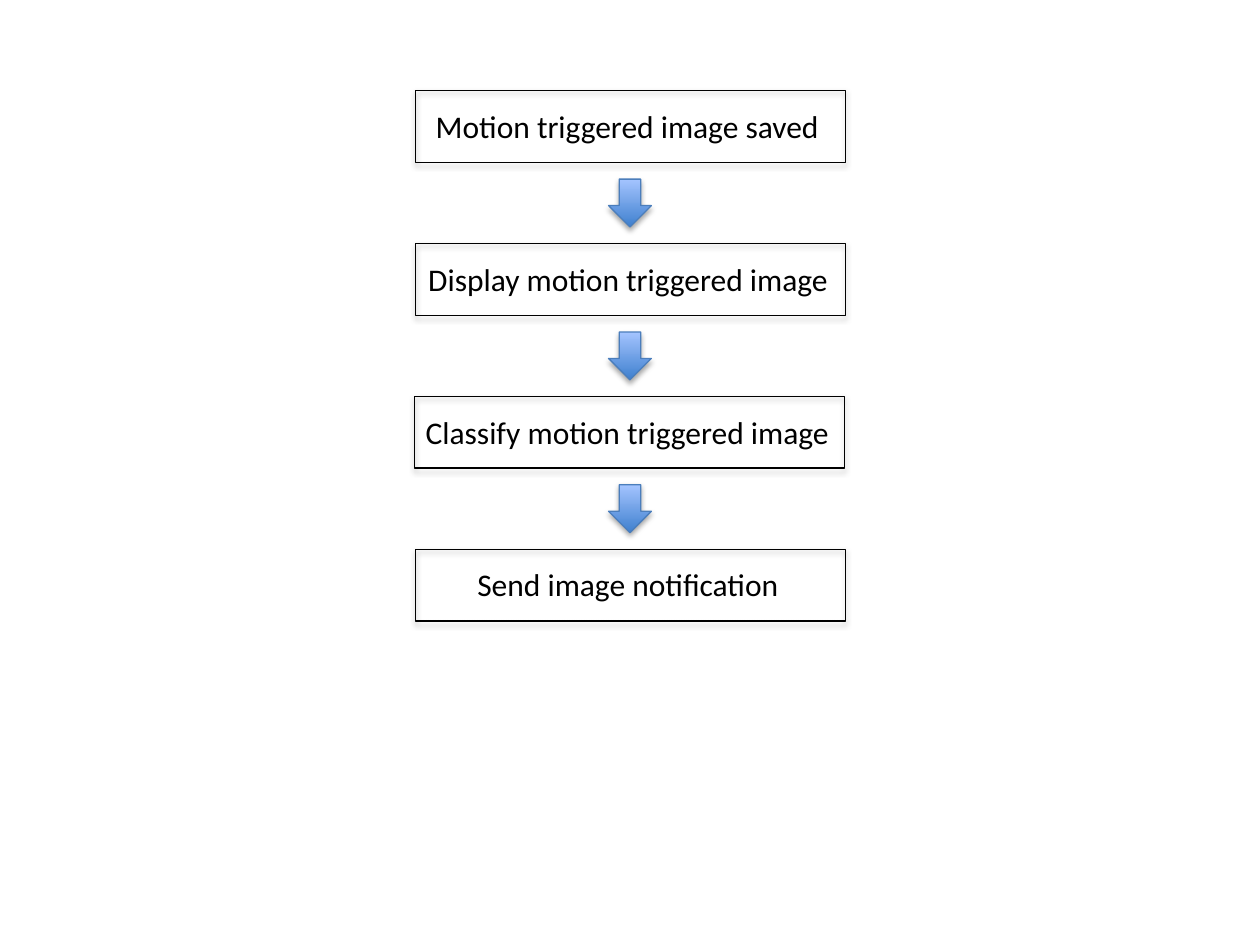
from dataclasses import dataclass

from lxml.etree import SubElement
from pptx import Presentation
from pptx.dml.color import RGBColor
from pptx.enum.shapes import MSO_SHAPE
from pptx.enum.text import MSO_AUTO_SIZE
from pptx.oxml.ns import qn
from pptx.util import Inches, Pt


@dataclass(frozen=True)
class Theme:
    black: RGBColor = RGBColor(0x00, 0x00, 0x00)
    arrow_line: RGBColor = RGBColor(0x4B, 0x7E, 0xBC)
    arrow_dark: RGBColor = RGBColor(0x3F, 0x80, 0xCE)
    arrow_light: RGBColor = RGBColor(0xA4, 0xC4, 0xFF)
    font: str = "Calibri"
    text_size: Pt = Pt(18)
    line_width: Pt = Pt(0.75)


THEME = Theme()

# Label, left of its box, left and width of its text
STEPS = [
    ("Motion triggered image saved", 3.3, 3.36, 3.29),
    ("Display motion triggered image", 3.3, 3.3, 3.42),
    ("Classify motion triggered image", 3.29, 3.28, 3.44),
    ("Send image notification", 3.3, 3.69, 2.63),
]
PITCH = 1.213
BOX_W, BOX_H = 3.41, 0.57
ARROW_W, ARROW_H = 0.34, 0.38


def add_shadow(sp):
    """Give the shape a soft shadow falling straight down."""
    sp.shadow.inherit = False
    effects = sp._element.spPr.find(qn("a:effectLst"))
    shadow = SubElement(effects, qn("a:outerShdw"), blurRad=str(Pt(3.1)),
                        dist=str(Pt(1.8)), dir="5400000", rotWithShape="0")
    color = SubElement(shadow, qn("a:srgbClr"), val=str(THEME.black))
    SubElement(color, qn("a:alpha"), val="35000")


def add_outlined(shapes, kind, left, top, width, height, color):
    sp = shapes.add_shape(kind, Inches(left), Inches(top), Inches(width), Inches(height))
    sp.line.color.rgb = color
    sp.line.width = THEME.line_width
    add_shadow(sp)
    return sp


def add_step(slide, label, left, top, text_left, text_width):
    """One step: an outlined box grouped with its label."""
    group = slide.shapes.add_group_shape()
    box = add_outlined(group.shapes, MSO_SHAPE.RECTANGLE, left, top, BOX_W, BOX_H, THEME.black)
    box.fill.background()

    text = group.shapes.add_textbox(Inches(text_left), Inches(top + 0.08),
                                    Inches(text_width), Inches(0.4))
    tf = text.text_frame
    tf.word_wrap = False
    tf.auto_size = MSO_AUTO_SIZE.SHAPE_TO_FIT_TEXT
    tf.text = label
    font = tf.paragraphs[0].runs[0].font
    font.name = THEME.font
    font.size = THEME.text_size
    font.color.rgb = THEME.black


def add_arrow(slide, center, top):
    """Gradient arrow leading down to the next step."""
    arrow = add_outlined(slide.shapes, MSO_SHAPE.DOWN_ARROW, center - ARROW_W / 2, top,
                         ARROW_W, ARROW_H, THEME.arrow_line)
    arrow.fill.gradient()
    arrow.fill.gradient_angle = 90
    for stop, color in zip(arrow.fill.gradient_stops, (THEME.arrow_dark, THEME.arrow_light)):
        stop.color.rgb = color


def add_flow(slide, center, top):
    """Column of steps, with an arrow centred in each gap."""
    for i, (label, left, text_left, text_width) in enumerate(STEPS):
        add_step(slide, label, left, top + i * PITCH, text_left, text_width)
    gap = PITCH - BOX_H
    for i in range(len(STEPS) - 1):
        add_arrow(slide, center, top + i * PITCH + BOX_H + (gap - ARROW_H) / 2)


def main():
    prs = Presentation()
    prs.slide_width, prs.slide_height = Inches(10), Inches(7.5)
    slide = prs.slides.add_slide(prs.slide_layouts[6])
    add_flow(slide, center=5, top=0.72)
    prs.save("out.pptx")


if __name__ == "__main__":
    main()
